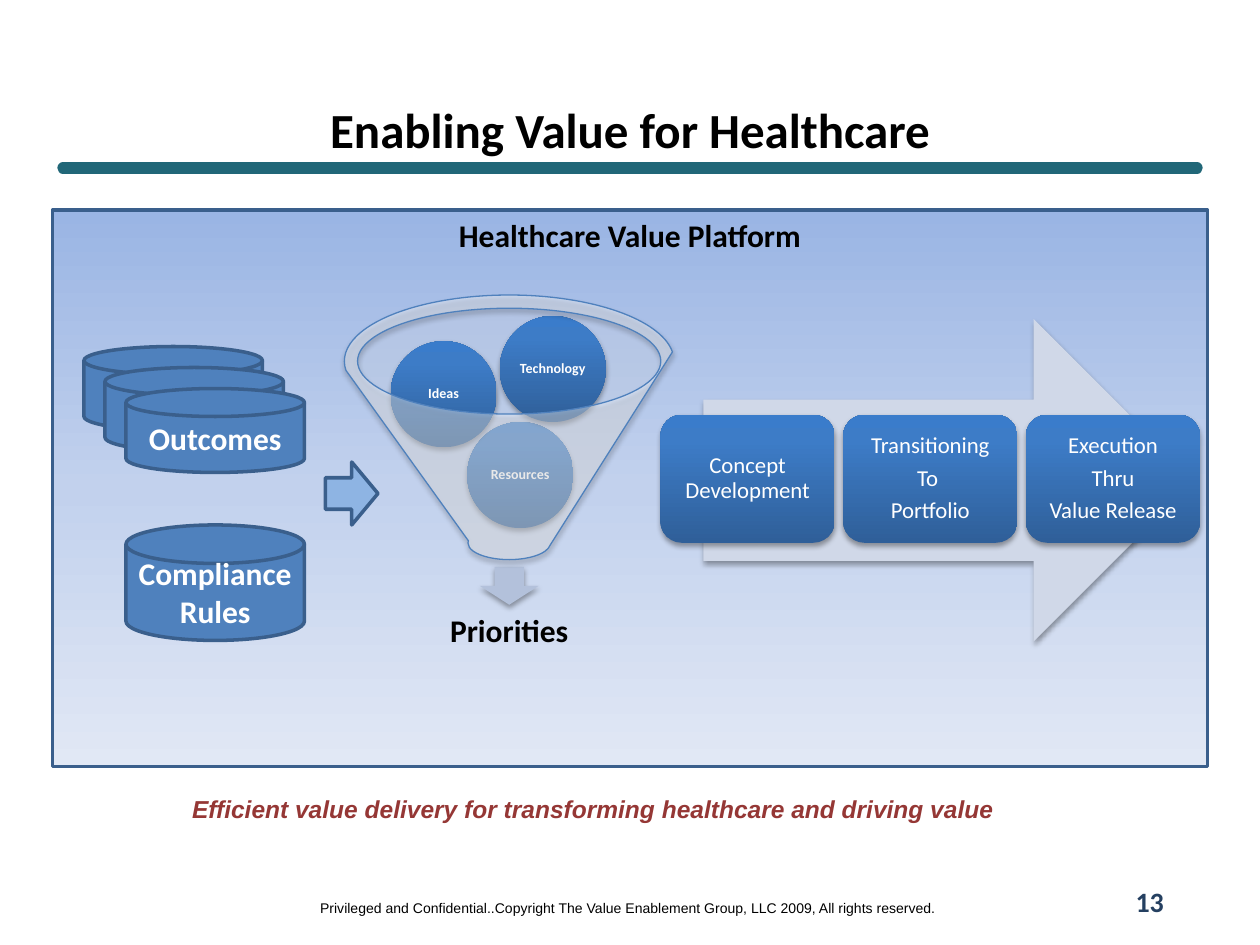
from dataclasses import dataclass

from lxml.etree import SubElement
from pptx import Presentation
from pptx.dml.color import RGBColor
from pptx.enum.shapes import MSO_CONNECTOR, MSO_SHAPE
from pptx.enum.text import MSO_ANCHOR as Anchor, PP_ALIGN as Align
from pptx.oxml import parse_xml
from pptx.oxml.ns import nsdecls, qn
from pptx.util import Inches, Pt


@dataclass(frozen=True)
class Theme:
    heading_font: str = "Calibri"
    note_font: str = "Arial"
    black: str = "000000"
    white: str = "FFFFFF"
    rule: str = "216778"
    outline: str = "3A5F8C"
    disk: str = "4F81BD"
    feed_arrow: str = "8EB4E3"
    funnel_back: str = "C2CDE1"
    drop_arrow: str = "B3C1DB"
    flow_arrow: str = "D0D8E8"
    tagline: str = "953735"
    page: str = "254061"
    panel: tuple = ((0, "9AB5E4"), (50, "C2D1ED"), (100, "E1E8F5"))
    glossy: tuple = ((0, "2F5F99"), (80, "3D7CC7"), (100, "3A7CCB"))
    title_size: int = 28
    heading_size: int = 18
    page_size: int = 16
    tagline_size: int = 14
    step_size: int = 13
    small_size: int = 8


THEME = Theme()


def grid(*cells):
    """Turn columns and rows of a 120 by 90 grid into lengths."""
    return [Inches(cell / 12) for cell in cells]


def write(shape, text, size, color, font=THEME.heading_font, bold=True, italic=False,
          anchor=Anchor.MIDDLE, inset=None, tight=False, wrap=True):
    frame = shape.text_frame
    frame.text = text
    frame.word_wrap = wrap
    frame.vertical_anchor = anchor
    if inset is not None:
        frame.margin_left = frame.margin_right = Inches(inset)
        frame.margin_top = frame.margin_bottom = Inches(inset)
    for paragraph in frame.paragraphs:
        paragraph.alignment = Align.CENTER
        if tight:
            paragraph.line_spacing = 0.9
            paragraph.space_after = Pt(round(size * 0.35, 1))
        for run in paragraph.runs:
            run.font.name = font
            run.font.size = Pt(size)
            run.font.bold = bold
            run.font.italic = italic
            run.font.color.rgb = RGBColor.from_string(color)


def add_label(slide, box, text, size, color, **style):
    write(slide.shapes.add_textbox(*grid(*box)), text, size, color, **style)


def paint_gradient(shape, stops, angle):
    shape.fill.gradient()
    shape.fill.gradient_angle = angle
    stop_list = shape.fill._fill._gradFill.find(qn("a:gsLst"))
    for stop in list(stop_list):
        stop_list.remove(stop)
    for position, color in stops:
        stop = SubElement(stop_list, qn("a:gs"), pos=str(position * 1000))
        SubElement(stop, qn("a:srgbClr"), val=color)


def add_soft_shadow(shape):
    properties = shape._element.spPr
    properties.remove(properties.find(qn("a:effectLst")))
    properties.append(parse_xml(
        f'<a:effectLst {nsdecls("a")}><a:outerShdw blurRad="{Pt(3.1)}" dist="{Pt(1.8)}" '
        f'dir="5400000" rotWithShape="0"><a:srgbClr val="{THEME.black}">'
        '<a:alpha val="35000"/></a:srgbClr></a:outerShdw></a:effectLst>'))


def add_shape(slide, kind, box, fill, line=None, width=2, alpha=None, angle=90, shadow=False):
    shape = slide.shapes.add_shape(kind, *grid(*box))
    if isinstance(fill, tuple):
        paint_gradient(shape, fill, angle)
    else:
        shape.fill.solid()
        shape.fill.fore_color.rgb = RGBColor.from_string(fill)
    if alpha:
        color = shape._element.spPr.find(qn("a:solidFill"))[0]
        SubElement(color, qn("a:alpha"), val=str(alpha * 1000))
    if line:
        shape.line.color.rgb = RGBColor.from_string(line)
        shape.line.width = Pt(width)
    else:
        shape.line.fill.background()
    shape.shadow.inherit = False
    if shadow:
        add_soft_shadow(shape)
    return shape


def add_disk(slide, box, text=""):
    disk = add_shape(slide, MSO_SHAPE.FLOWCHART_MAGNETIC_DISK, box, THEME.disk, THEME.outline)
    if text:
        write(disk, text, THEME.heading_size, THEME.white, inset=0.05)


def add_rule(slide, left, right, row):
    rule = slide.shapes.add_connector(MSO_CONNECTOR.STRAIGHT, *grid(left, row, right, row))
    rule.line.color.rgb = RGBColor.from_string(THEME.rule)
    rule.line.width = Pt(6.5)
    rule.line._ln.set("cap", "rnd")
    SubElement(rule._element.spPr, qn("a:effectLst"))


def add_inputs(slide):
    for index, text in enumerate(("", "", "Outcomes")):
        add_disk(slide, (8 + 2 * index, 33 + 2 * index, 17, 8), text)
    add_disk(slide, (12, 50, 17, 11), "Compliance\nRules")
    arrow = add_shape(slide, MSO_SHAPE.DOWN_ARROW, (30.5, 44.5, 6, 5),
                      THEME.feed_arrow, THEME.outline)
    arrow.rotation = 270


def add_funnel(slide):
    add_shape(slide, MSO_SHAPE.OVAL, (34, 29.3, 29, 10.1), THEME.funnel_back, alpha=40)
    add_shape(slide, MSO_SHAPE.DOWN_ARROW, (45.7, 54, 5.6, 3.6), THEME.drop_arrow, shadow=True)
    add_label(slide, (35, 56.9, 27, 6.7), "Priorities", THEME.heading_size, THEME.black,
              inset=0.14, tight=True)
    balls = (("Resources", 44.5, 40.2), ("Ideas", 37.2, 32.5), ("Technology", 47.6, 30.1))
    for text, column, row in balls:
        ball = add_shape(slide, MSO_SHAPE.OVAL, (column, row, 10.1, 10.1), THEME.glossy,
                         shadow=True)
        write(ball, text, THEME.small_size, THEME.white, inset=0.01, tight=True)
    add_shape(slide, MSO_SHAPE.FUNNEL, (32.8, 28.1, 31.4, 25.2), THEME.white, THEME.disk,
              width=0.75, alpha=40, shadow=True)


def add_flow(slide):
    add_shape(slide, MSO_SHAPE.RIGHT_ARROW, (67, 30.4, 46.8, 30.7), THEME.flow_arrow,
              shadow=True)
    steps = ("Concept Development", "Transitioning\nTo \nPortfolio",
             "Execution\nThru\nValue Release")
    for index, text in enumerate(steps):
        step = add_shape(slide, MSO_SHAPE.ROUNDED_RECTANGLE,
                         (62.9 + 17.4 * index, 39.5, 16.6, 12.2), THEME.glossy, shadow=True)
        write(step, text, THEME.step_size, THEME.white, bold=False, inset=0.05, tight=True)


def main():
    presentation = Presentation()
    presentation.slide_width, presentation.slide_height = grid(120, 90)
    slide = presentation.slides.add_slide(presentation.slide_layouts[6])

    # Heading
    add_rule(slide, 6, 114, 16)
    add_label(slide, (6, 10, 108, 4.6), "Enabling Value for Healthcare",
              THEME.title_size, THEME.black)

    # Platform panel and its contents
    panel = add_shape(slide, MSO_SHAPE.FLOWCHART_PROCESS, (5, 20, 110, 53), THEME.panel,
                      THEME.outline, angle=270)
    write(panel, "Healthcare Value Platform", THEME.heading_size, THEME.black,
          anchor=Anchor.TOP)
    add_inputs(slide)
    add_funnel(slide)
    add_flow(slide)

    # Tagline and footer
    add_label(slide, (11, 75, 91, 4.1),
              "Efficient value delivery for transforming healthcare and driving value",
              THEME.tagline_size, THEME.tagline, font=THEME.note_font, italic=True,
              anchor=Anchor.TOP)
    add_label(slide, (28.9, 85.1, 61.9, 2.9),
              "Privileged and Confidential..Copyright The Value Enablement Group, LLC 2009, "
              "All rights reserved.", THEME.small_size, THEME.black, font=THEME.note_font,
              bold=False, anchor=Anchor.TOP, wrap=False)
    add_label(slide, (105, 83.4, 9, 4.8), "13", THEME.page_size, THEME.page)

    presentation.save("out.pptx")


if __name__ == "__main__":
    main()
